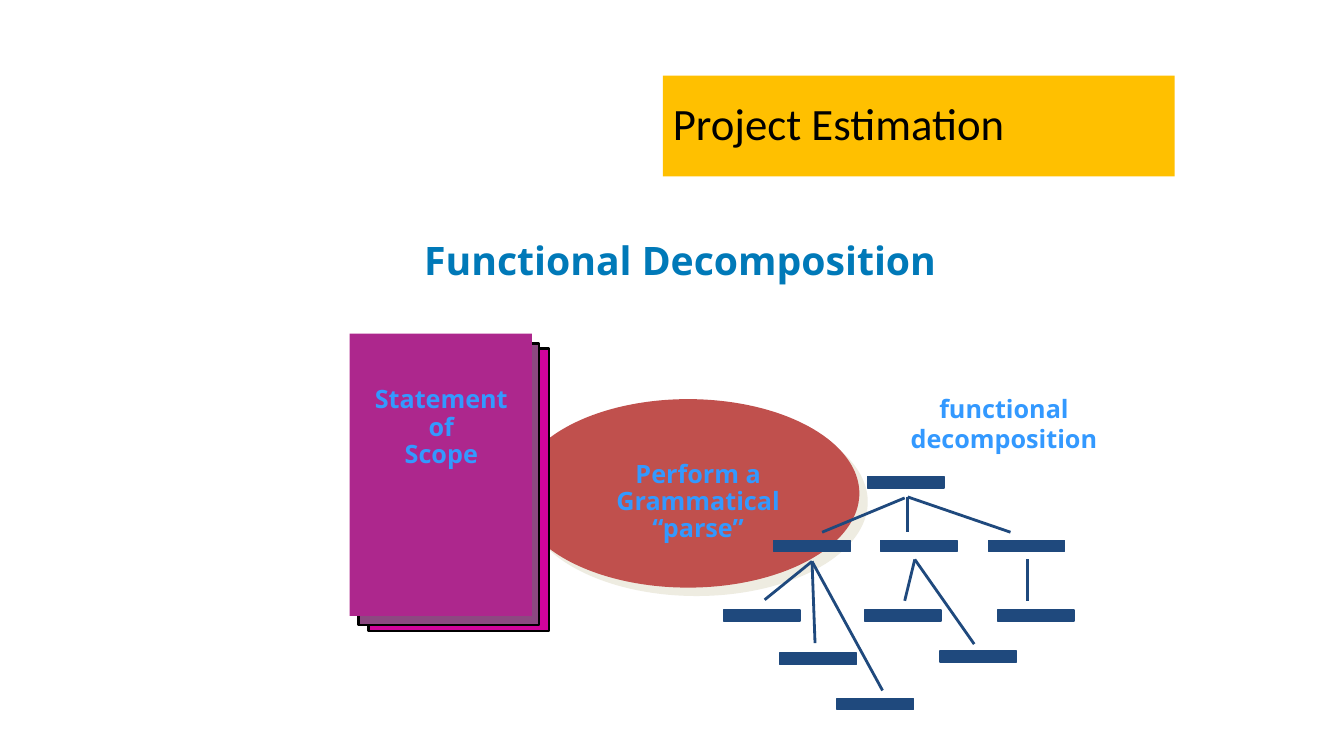
from lxml import etree
from pptx import Presentation
from pptx.dml.color import RGBColor
from pptx.enum.shapes import MSO_CONNECTOR, MSO_SHAPE
from pptx.enum.text import MSO_ANCHOR, PP_ALIGN
from pptx.oxml.ns import qn
from pptx.util import Inches, Pt

RECTANGLE = MSO_SHAPE.RECTANGLE
OVAL = MSO_SHAPE.OVAL
STRAIGHT = MSO_CONNECTOR.STRAIGHT
TOP = MSO_ANCHOR.TOP
MIDDLE = MSO_ANCHOR.MIDDLE
LEFT = PP_ALIGN.LEFT
CENTER = PP_ALIGN.CENTER

NAVY = "1F497D"
SKY = "3399FF"

PAGES = [
    (3.66, 3.46, 1.79, 2.8, "D1039B", "000000"),
    (3.56, 3.41, 1.79, 2.79, "8C4881", "000000"),
    (3.47, 3.31, 1.81, 2.8, "AD278D", None),
]
NODE_WIDTH = 0.76
NODE_HEIGHT = 0.11
NODES = [
    (8.61, 4.73),
    (7.68, 5.36), (8.74, 5.36), (9.81, 5.36),
    (7.18, 6.05), (7.74, 6.48), (8.31, 6.93),
    (8.58, 6.05), (9.33, 6.46), (9.9, 6.05),
]
BRANCHES = [
    ((8.98, 4.94), [(8.16, 5.28)]),
    ((9.01, 4.93), [(9.01, 5.28), (10.03, 5.28)]),
    ((8.06, 5.57), [(7.59, 5.95), (8.09, 6.38), (8.76, 6.85)]),
    ((9.08, 5.55), [(8.98, 5.96), (9.67, 6.39)]),
    ((10.2, 5.55), [(10.2, 5.96)]),
]


def color(value):
    return RGBColor.from_string(value)


def add_block(slide, kind, left, top, width, height, fill, line=None, line_width=2):
    shape = slide.shapes.add_shape(
        kind, Inches(left), Inches(top), Inches(width), Inches(height))
    shape.shadow.inherit = False
    shape.fill.solid()
    shape.fill.fore_color.rgb = color(fill)
    if line:
        shape.line.color.rgb = color(line)
        shape.line.width = Pt(line_width)
    else:
        shape.line.fill.background()
    return shape


def add_hard_shadow(shape, value, distance):
    effects = shape._element.spPr.find(qn("a:effectLst"))
    shadow = etree.SubElement(
        effects, qn("a:outerShdw"), blurRad="0", dist=str(Pt(distance)),
        dir="2700000", algn="ctr", rotWithShape="0")
    etree.SubElement(shadow, qn("a:srgbClr"), val=value)


def add_branch(slide, start, end):
    connector = slide.shapes.add_connector(
        STRAIGHT, *[Inches(value) for value in (*start, *end)])
    connector.line.color.rgb = color(NAVY)
    connector.line.width = Pt(2)
    etree.SubElement(connector._element.spPr, qn("a:effectLst"))


def write_text(shape, text, size=18, font="Open Sans", fill=SKY, bold=True,
               align=CENTER, anchor=TOP, spacing=1.0, wrap=True):
    frame = shape.text_frame
    frame.word_wrap = wrap
    frame.vertical_anchor = anchor
    frame.text = text
    for paragraph in frame.paragraphs:
        paragraph.alignment = align
        paragraph.line_spacing = spacing
        paragraph.font.size = Pt(size)
        paragraph.font.name = font
        paragraph.font.bold = bold
        paragraph.font.color.rgb = color(fill)


def add_label(slide, left, top, width, height, text, **style):
    box = slide.shapes.add_textbox(
        Inches(left), Inches(top), Inches(width), Inches(height))
    write_text(box, text, **style)


def main():
    presentation = Presentation()
    presentation.slide_width = Inches(13.34)
    presentation.slide_height = Inches(7.5)
    slide = presentation.slides.add_slide(presentation.slide_layouts[6])

    title = add_block(slide, RECTANGLE, 6.58, 0.75, 5.08, 1, "FFC000")
    write_text(title, "Project Estimation", size=32, font="Calibri", fill="000000",
               bold=False, align=LEFT, anchor=MIDDLE, spacing=0.9)
    add_label(slide, 2.97, 2.22, 7.56, 0.72, "Functional Decomposition",
              size=28, fill="0079B8", anchor=MIDDLE)

    parse_oval = add_block(slide, OVAL, 5.13, 3.96, 3.4, 1.87, "C0504D")
    add_hard_shadow(parse_oval, "EEECE1", 8.5)
    for page in PAGES:
        add_block(slide, RECTANGLE, *page)

    for left, top in NODES:
        add_block(slide, RECTANGLE, left, top, NODE_WIDTH, NODE_HEIGHT, NAVY, NAVY, 1)
    for start, ends in BRANCHES:
        for end in ends:
            add_branch(slide, start, end)

    add_label(slide, 8.94, 3.85, 2.05, 0.7, "functional\ndecomposition", wrap=False)
    add_label(slide, 3.62, 3.79, 1.52, 0.91, "Statement\nof\nScope",
              spacing=0.9, wrap=False)
    add_label(slide, 5.55, 4.53, 2.76, 0.91, "Perform a Grammatical “parse”",
              spacing=0.9)

    presentation.save("out.pptx")


if __name__ == "__main__":
    main()
